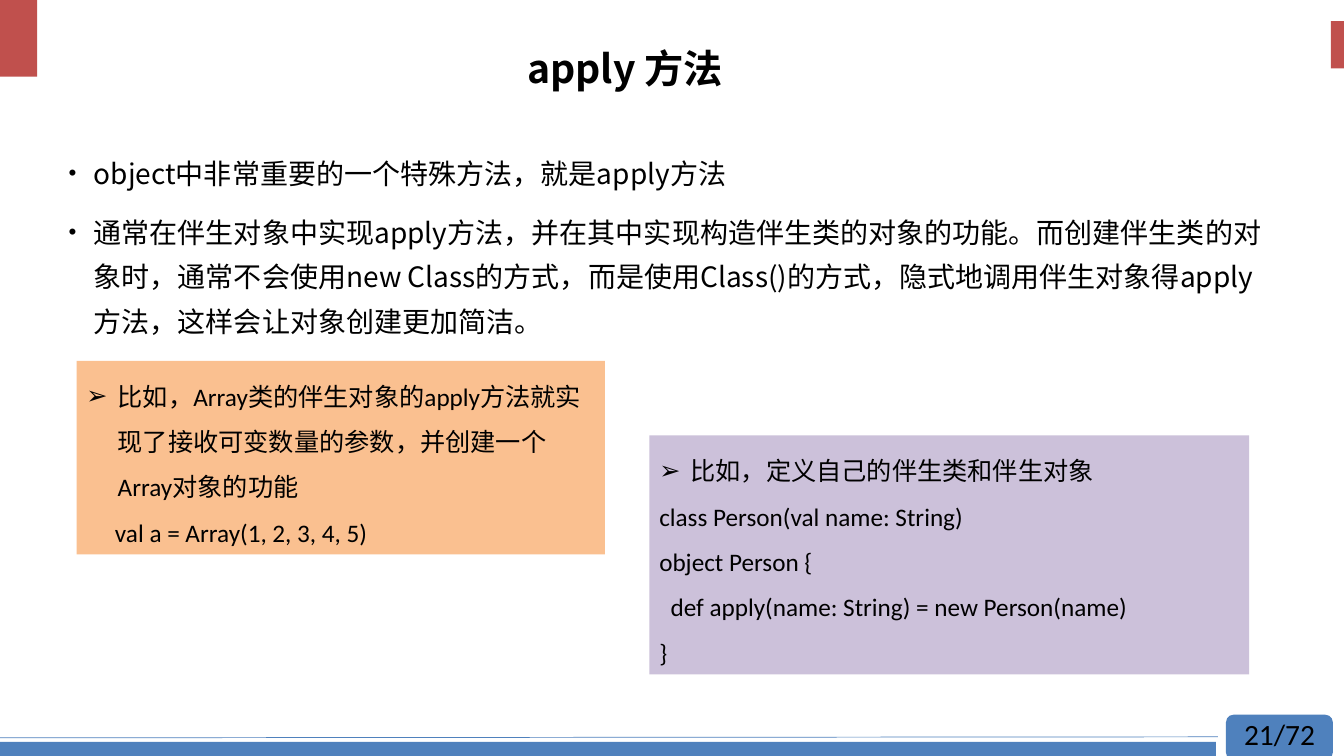
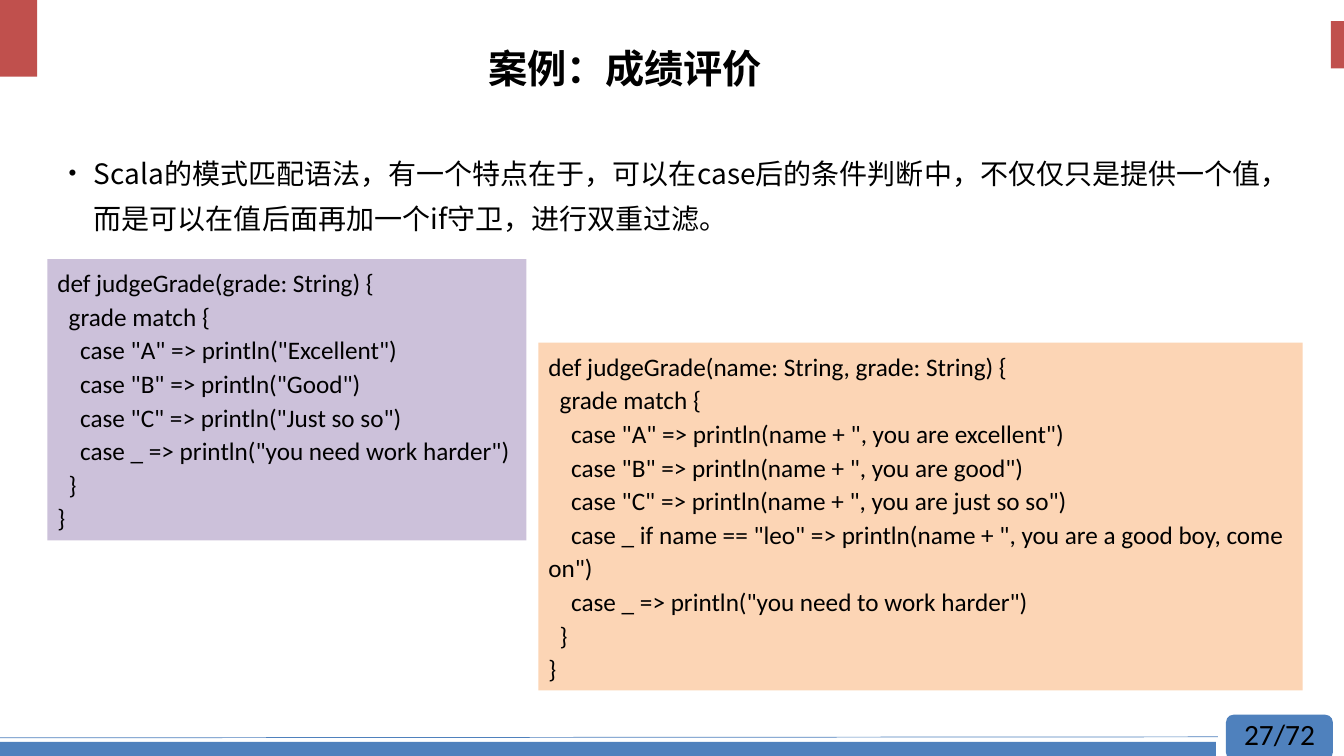
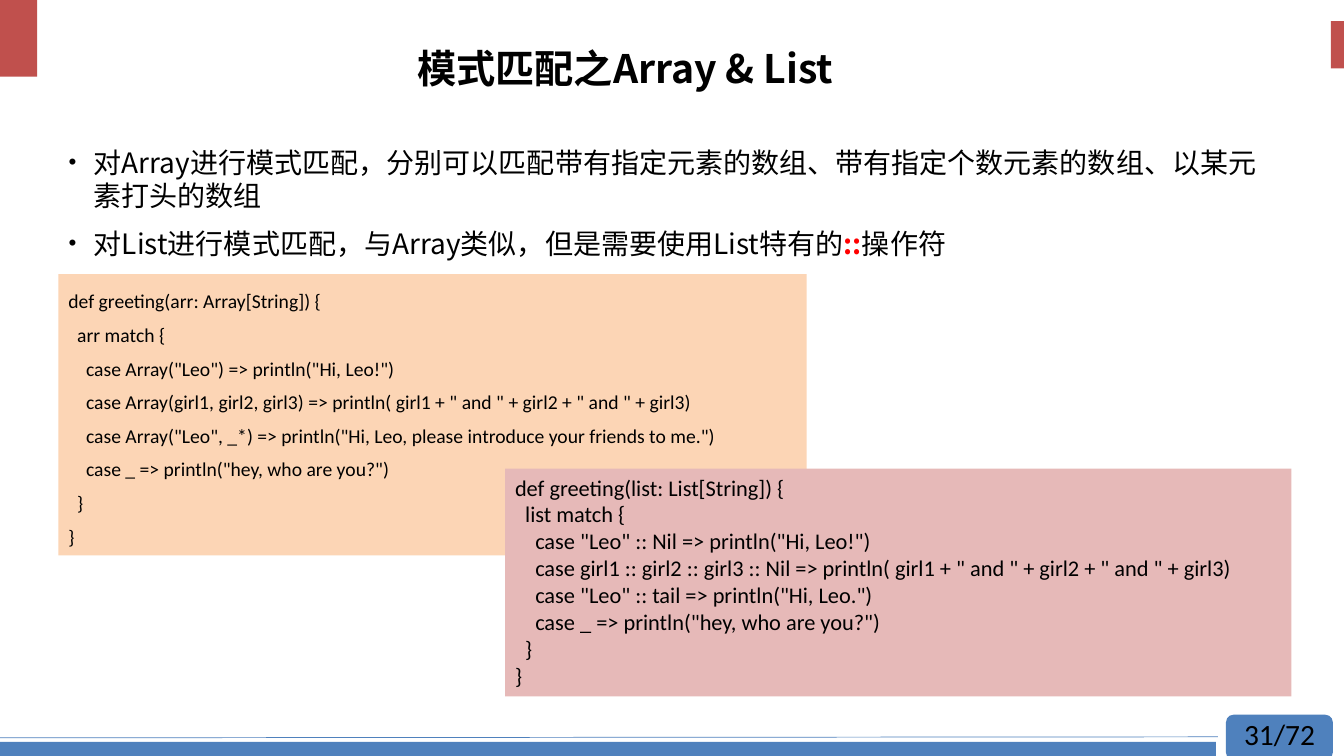
from lxml import etree
from pptx import Presentation
from pptx.dml.color import RGBColor
from pptx.enum.shapes import MSO_CONNECTOR, MSO_SHAPE
from pptx.enum.text import MSO_ANCHOR, MSO_AUTO_SIZE, PP_ALIGN
from pptx.oxml.ns import qn
from pptx.util import Pt

RECTANGLE = MSO_SHAPE.RECTANGLE
BADGE = MSO_SHAPE.FLOWCHART_ALTERNATE_PROCESS
STRAIGHT = MSO_CONNECTOR.STRAIGHT
TOP, MIDDLE = MSO_ANCHOR.TOP, MSO_ANCHOR.MIDDLE
LEFT, CENTER = PP_ALIGN.LEFT, PP_ALIGN.CENTER
FIXED, GROW = MSO_AUTO_SIZE.NONE, MSO_AUTO_SIZE.SHAPE_TO_FIT_TEXT

PX = 9144  # 100 px to the inch
SLIDE_WIDTH, SLIDE_HEIGHT = 1333, 750
HEADING_FONT, CODE_FONT = "Noto Sans CJK SC", "Calibri"
SPACE_WIDTH = 0.226  # width of a Calibri space, in em
BLACK, RED = "000000", "FF0000"
ACCENT_RED, ACCENT_BLUE = "C0504D", "4F81BD"
ORANGE, PEACH, LILAC, ROSE = "FAC090", "FCD5B5", "CCC1DA", "E6B9B8"
TITLE_BOX = (170, 29, 900, 82)
BODY_BOX = (58, 139, 1222, 546)
PAGE_COUNT = 72


def px(*lengths):
    return [round(length * PX) for length in lengths]


def color(value):
    return RGBColor.from_string(value)


def set_bullet(properties, character, percent):
    for tag, name, value in (("a:buSzPct", "val", str(percent * 1000)),
                             ("a:buFont", "typeface", "Arial"),
                             ("a:buChar", "char", character)):
        etree.SubElement(properties, qn(tag)).set(name, value)


def add_run(paragraph, text, size, font, fill=BLACK, bold=False):
    run = paragraph.add_run()
    run.text = text
    run.font.size = Pt(size)
    run.font.name = font
    run.font.bold = bold
    run.font.color.rgb = color(fill)
    east_asian = etree.Element(qn("a:ea"))
    east_asian.set("typeface", HEADING_FONT)
    run.font._element.find(qn("a:latin")).addnext(east_asian)


def write(frame, lines, size, font, align=LEFT, spacing=None, before=0, bold=False,
          bullet=None, bullet_percent=100, hanging=0, bullet_lines=None):
    """A line is a string, or a list of (text, run format); leading spaces become an indent."""
    for index, line in enumerate(lines):
        paragraph = frame.paragraphs[0] if index == 0 else frame.add_paragraph()
        paragraph.alignment = align
        paragraph.space_before = Pt(before)
        if spacing:
            paragraph.line_spacing = spacing
        runs = [(line, {})] if isinstance(line, str) else line
        properties = paragraph._p.get_or_add_pPr()
        if bullet and (bullet_lines is None or index < bullet_lines):
            margin, indent = px(hanging, -hanging)
            set_bullet(properties, bullet, bullet_percent)
        else:
            first = runs[0][0]
            depth = len(first) - len(first.lstrip())
            margin, indent = 0, round(Pt(depth * SPACE_WIDTH * size))
            etree.SubElement(properties, qn("a:buNone"))
        properties.set("marL", str(margin))
        properties.set("indent", str(indent))
        for position, (text, style) in enumerate(runs):
            add_run(paragraph, text.lstrip() if position == 0 else text,
                    size, font, **{"bold": bold, **style})


def add_block(slide, box, fill, kind=RECTANGLE):
    shape = slide.shapes.add_shape(kind, *px(*box))
    shape.shadow.inherit = False
    shape.fill.solid()
    shape.fill.fore_color.rgb = color(fill)
    shape.line.fill.background()
    return shape


def add_panel(slide, box, fill, lines, **style):
    frame = add_block(slide, box, fill).text_frame
    frame.word_wrap = True
    frame.vertical_anchor = TOP
    frame.auto_size = GROW
    write(frame, lines, font=CODE_FONT, **style)


def add_corner_marks(slide):
    add_block(slide, (0, 0, 37, 76), ACCENT_RED)
    add_block(slide, (1320, 21, 13, 47), ACCENT_RED)


def add_footer(slide, page, top=705):
    # Band and rule
    add_block(slide, (0, top + 31, 1206, 19), ACCENT_BLUE)
    rule = slide.shapes.add_connector(STRAIGHT, *px(0, top + 27, 1208, top + 26))
    rule.line.color.rgb = color(ACCENT_BLUE)
    rule.line.width = Pt(0.5)
    etree.SubElement(rule._element.spPr, qn("a:effectLst"))
    # Page badge
    add_block(slide, (1216, top + 4, 106, 45), ACCENT_BLUE, BADGE)
    number = slide.shapes.add_textbox(*px(1224, top, 102, 45)).text_frame
    number.word_wrap = True
    number.auto_size = GROW
    write(number, [f"{page}/{PAGE_COUNT}"], 21, CODE_FONT)


def prepare_layout(presentation):
    layout = presentation.slide_layouts[1]
    for placeholder, box in zip(layout.placeholders, (TITLE_BOX, BODY_BOX)):
        (placeholder.left, placeholder.top,
         placeholder.width, placeholder.height) = px(*box)
    return layout


def add_topic_slide(presentation, layout, page, title, points, point_spacing):
    slide = presentation.slides.add_slide(layout)
    add_corner_marks(slide)
    add_footer(slide, page)
    # Title
    heading = slide.shapes.title.text_frame
    heading.vertical_anchor = MIDDLE
    heading.auto_size = FIXED
    write(heading, [title], 28, HEADING_FONT, align=CENTER, spacing=0.9, bold=True)
    # Bulleted points
    body = slide.placeholders[1].text_frame
    body.auto_size = FIXED
    write(body, points, 20, HEADING_FONT, spacing=Pt(point_spacing), before=10,
          bullet="•", bullet_percent=80, hanging=25)
    return slide


def add_apply_slide(presentation, layout):
    slide = add_topic_slide(presentation, layout, 21, "apply 方法", [
        "object中非常重要的一个特殊方法，就是apply方法",
        "通常在伴生对象中实现apply方法，并在其中实现构造伴生类的对象的功能。"
        "而创建伴生类的对象时，通常不会使用new Class的方式，而是使用Class()的方式，"
        "隐式地调用伴生对象得apply方法，这样会让对象创建更加简洁。",
    ], 32)
    example = dict(size=18, spacing=1.5, bullet="➢", hanging=31, bullet_lines=1)
    add_panel(slide, (76, 358, 524, 192), ORANGE, [
        "比如，Array类的伴生对象的apply方法就实现了接收可变数量的参数，"
        "并创建一个Array对象的功能",
        "     val a = Array(1, 2, 3, 4, 5)",
    ], **example)
    add_panel(slide, (644, 432, 595, 237), LILAC, [
        "比如，定义自己的伴生类和伴生对象",
        "class Person(val name: String)",
        "object Person {",
        "  def apply(name: String) = new Person(name)",
        "}",
    ], **example)


def add_grade_slide(presentation, layout):
    slide = add_topic_slide(presentation, layout, 27, "案例：成绩评价", [
        "Scala的模式匹配语法，有一个特点在于，可以在case后的条件判断中，"
        "不仅仅只是提供一个值，而是可以在值后面再加一个if守卫，进行双重过滤。",
    ], 32)
    code = dict(size=18, spacing=Pt(24))
    add_panel(slide, (47, 257, 475, 279), LILAC, [
        'def judgeGrade(grade: String) {',
        '  grade match {',
        '    case "A" => println("Excellent")',
        '    case "B" => println("Good")',
        '    case "C" => println("Just so so")',
        '    case _ => println("you need work harder")',
        '  }',
        '}',
    ], **code)
    add_panel(slide, (534, 340, 758, 345), PEACH, [
        'def judgeGrade(name: String, grade: String) {',
        '  grade match {',
        '    case "A" => println(name + ", you are excellent")',
        '    case "B" => println(name + ", you are good")',
        '    case "C" => println(name + ", you are just so so")',
        '    case _ if name == "leo" => println(name + ", you are a good boy, come on")',
        '    case _ => println("you need to work harder")',
        '  }',
        '}',
    ], **code)


def add_matching_slide(presentation, layout):
    slide = add_topic_slide(presentation, layout, 31, "模式匹配之Array & List", [
        "对Array进行模式匹配，分别可以匹配带有指定元素的数组、"
        "带有指定个数元素的数组、以某元素打头的数组",
        [("对List进行模式匹配，与Array类似，但是需要使用List特有的", {}),
         ("::", {"fill": RED, "bold": True}),
         ("操作符", {})],
    ], 24)
    add_panel(slide, (58, 272, 742, 279), PEACH, [
        'def greeting(arr: Array[String]) {',
        '  arr match {',
        '    case Array("Leo") => println("Hi, Leo!")',
        '    case Array(girl1, girl2, girl3) => '
        'println( girl1 + " and " + girl2 + " and " + girl3)',
        '    case Array("Leo", _*) => '
        'println("Hi, Leo, please introduce your friends to me.")',
        '    case _ => println("hey, who are you?")',
        '  }',
        '}',
    ], size=14, spacing=Pt(24))
    add_panel(slide, (501, 465, 780, 226), ROSE, [
        'def greeting(list: List[String]) {',
        '  list match {',
        '    case "Leo" :: Nil => println("Hi, Leo!")',
        '    case girl1 :: girl2 :: girl3 :: Nil => '
        'println( girl1 + " and " + girl2 + " and " + girl3)',
        '    case "Leo" :: tail => println("Hi, Leo.")',
        '    case _ => println("hey, who are you?")',
        '  }',
        '}',
    ], size=16)


def main():
    presentation = Presentation()
    presentation.slide_width, presentation.slide_height = px(SLIDE_WIDTH, SLIDE_HEIGHT)
    layout = prepare_layout(presentation)
    for add_slide in (add_apply_slide, add_grade_slide, add_matching_slide):
        add_slide(presentation, layout)
    presentation.save("out.pptx")


if __name__ == "__main__":
    main()
